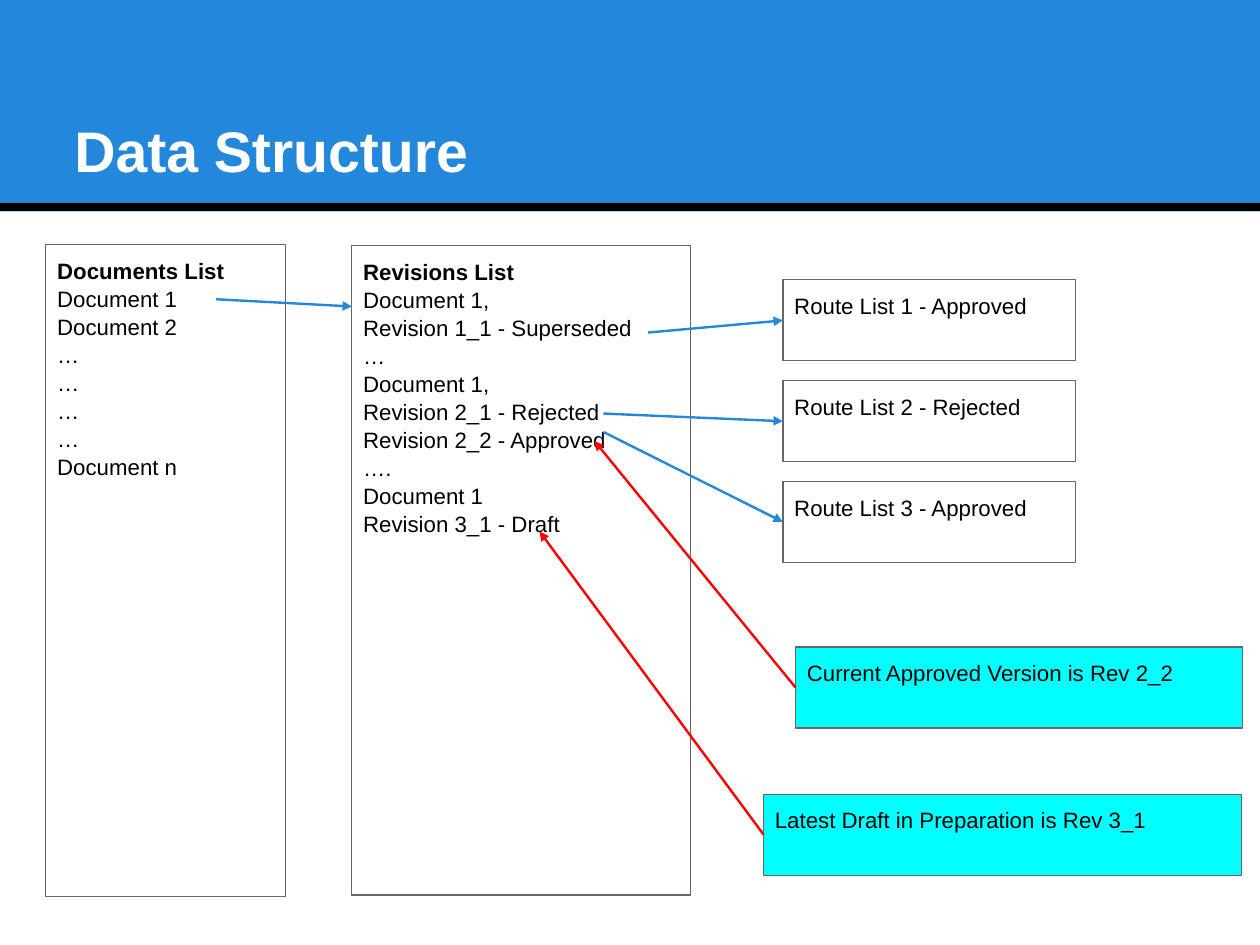
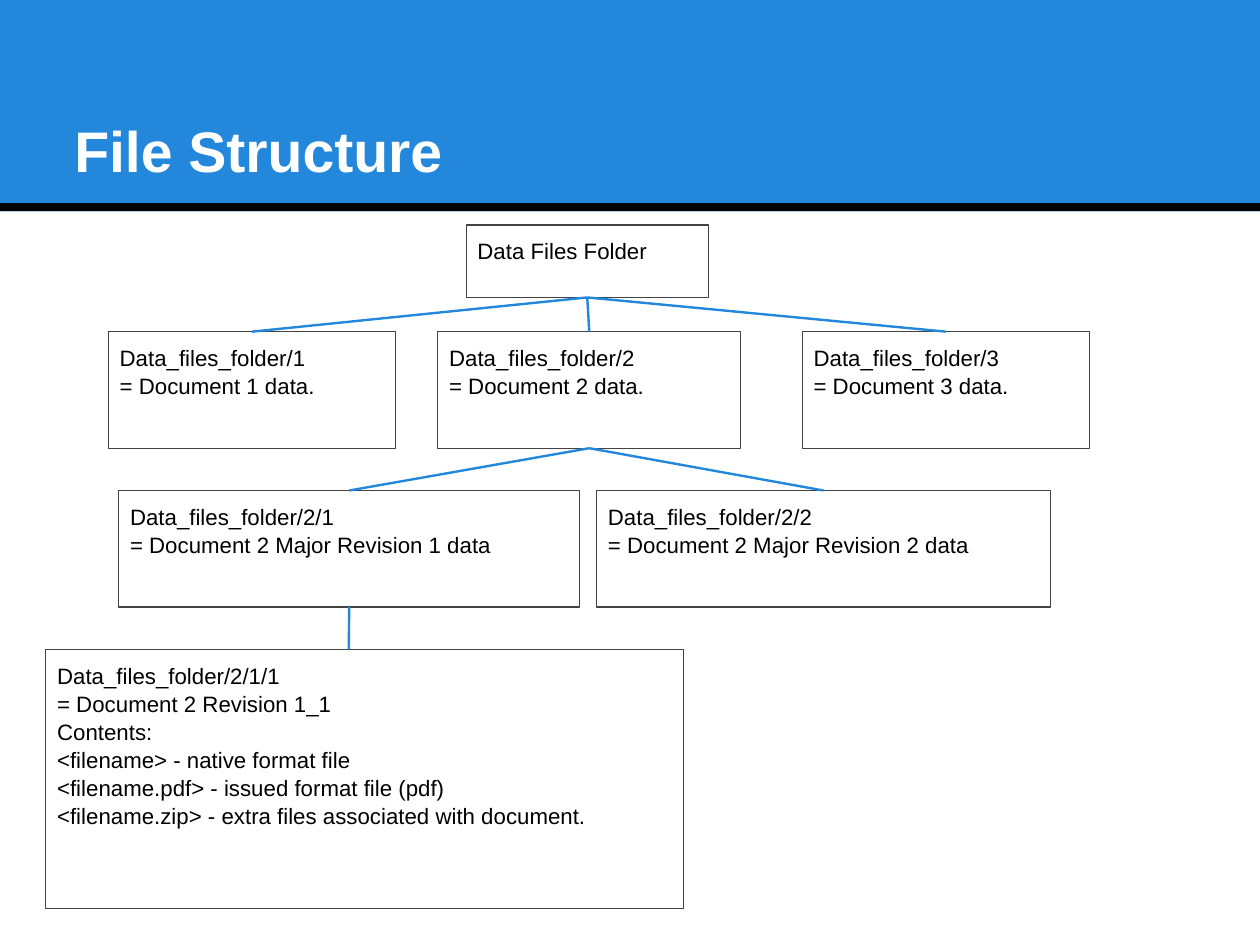
from lxml.etree import SubElement
from pptx import Presentation
from pptx.dml.color import RGBColor
from pptx.enum.shapes import MSO_CONNECTOR, MSO_SHAPE
from pptx.enum.text import MSO_ANCHOR, MSO_AUTO_SIZE, PP_ALIGN
from pptx.oxml.ns import qn
from pptx.util import Cm, Pt

COLORS = {
    "blue": "2388DB",
    "black": "000000",
    "white": "FFFFFF",
    "gray": "666666",
    "charcoal": "434343",
    "cyan": "00FFFF",
    "red": "FF0000",
}
FONT = "Arial"
WIDTH, HEIGHT = 28, 21
TOP, LEFT, BOTTOM = 0, 1, 2


def color(name):
    return RGBColor.from_string(COLORS[name])


class DeckBuilder:
    def __init__(self):
        self.deck = Presentation()
        self.deck.slide_width = Cm(WIDTH)
        self.deck.slide_height = Cm(HEIGHT)
        self.layout = self.deck.slide_layouts.get_by_name("Title Only")
        self.page = None
        self.outline = "gray"

    def style_layout(self):
        band = self.box((0, 0, WIDTH, 4.7), fill="blue", outlined=False)
        rule = self.line((0, 4.6), (WIDTH, 4.6), "black", weight=4.5)
        for index, shape in enumerate((band, rule)):
            self.layout.shapes.element.insert(2 + index, shape.element)
        title = self.layout.placeholders[0]
        title.left, title.top, title.width, title.height = map(Cm, (1.4, 0.84, 25.2, 3.5))

    def add_page(self, title, outline):
        first = self.page is None
        self.page = self.deck.slides.add_slide(self.layout)
        self.outline = outline
        if first:
            self.style_layout()
        frame = self.page.shapes.title.text_frame
        self.set_text(frame, [title], 36, "white", bold_first=True)
        frame.vertical_anchor = MSO_ANCHOR.BOTTOM

    def set_text(self, frame, lines, size, ink, bold_first=False, spacing=1.0):
        frame.word_wrap = True
        frame.auto_size = MSO_AUTO_SIZE.NONE
        frame.vertical_anchor = MSO_ANCHOR.TOP
        frame.margin_left = frame.margin_right = Cm(0.25)
        frame.margin_top = frame.margin_bottom = Cm(0.25)
        for index, text in enumerate(lines):
            para = frame.paragraphs[0] if index == 0 else frame.add_paragraph()
            para.text = text
            para.alignment = PP_ALIGN.LEFT
            para.line_spacing = spacing
            para.font.name = FONT
            para.font.size = Pt(size)
            para.font.bold = bold_first and index == 0
            para.font.color.rgb = color(ink)

    def box(self, area, lines=(), fill=None, outlined=True, bold_first=False):
        box = self.page.shapes.add_shape(MSO_SHAPE.RECTANGLE, *map(Cm, area))
        box.shadow.inherit = False
        if fill:
            box.fill.solid()
            box.fill.fore_color.rgb = color(fill)
        else:
            box.fill.background()
        if outlined:
            box.line.color.rgb = color(self.outline)
            box.line.width = Pt(0.75)
        else:
            box.line.fill.background()
        if lines:
            self.set_text(box.text_frame, lines, 14, "black", bold_first, 1.05)
        return box

    def line(self, start, end, ink="blue", weight=1.5, arrow=False):
        line = self.page.shapes.add_connector(MSO_CONNECTOR.STRAIGHT, 0, 0, 0, 0)
        if isinstance(start[0], (int, float)):
            line.begin_x, line.begin_y = map(Cm, start)
        else:
            line.begin_connect(*start)
        if isinstance(end[0], (int, float)):
            line.end_x, line.end_y = map(Cm, end)
        else:
            line.end_connect(*end)
        line.line.color.rgb = color(ink)
        line.line.width = Pt(weight)
        properties = line.element.spPr
        if arrow:
            SubElement(properties.find(qn("a:ln")), qn("a:tailEnd"), type="triangle")
        SubElement(properties, qn("a:effectLst"))
        return line


def build_data_structure(builder):
    builder.add_page("Data Structure", "gray")
    documents = ["Documents List", "Document 1", "Document 2", *["…"] * 4, "Document n"]
    revisions = [
        "Revisions List",
        "Document 1,",
        "Revision 1_1 - Superseded",
        "…",
        "Document 1,",
        "Revision 2_1 - Rejected",
        "Revision 2_2 - Approved",
        "….",
        "Document 1",
        "Revision 3_1 - Draft",
    ]
    builder.box((1.02, 5.44, 5.33, 14.48), documents, bold_first=True)
    builder.box((7.82, 5.46, 7.52, 14.43), revisions, bold_first=True)
    builder.line((4.8, 6.65), (7.82, 6.81), arrow=True)

    routes = [
        ("Approved", (14.4, 7.39)),
        ("Rejected", (13.41, 9.19)),
        ("Approved", (13.41, 9.6)),
    ]
    for index, (status, start) in enumerate(routes):
        text = f"Route List {index + 1} - {status}"
        route = builder.box((17.4, 6.22 + 2.24 * index, 6.5, 1.8), [text])
        builder.line(start, (route, LEFT), arrow=True)

    callouts = [
        ("Current Approved Version is Rev 2_2", (17.68, 14.38, 9.93, 1.8), (13.21, 9.8)),
        ("Latest Draft in Preparation is Rev 3_1", (16.97, 17.65, 10.62, 1.8), (11.99, 11.81)),
    ]
    for text, area, target in callouts:
        callout = builder.box(area, [text], fill="cyan")
        builder.line((callout, LEFT), target, "red", arrow=True)


def build_file_structure(builder):
    builder.add_page("File Structure", "charcoal")
    root = builder.box((10.36, 5, 5.38, 1.61), ["Data Files Folder"])

    folders = []
    for number, (left, width) in enumerate([(2.41, 6.38), (9.73, 6.73), (17.83, 6.38)], 1):
        lines = [f"Data_files_folder/{number}", f"= Document {number} data."]
        folders.append(builder.box((left, 7.37, width, 2.59), lines))
        builder.line((root, BOTTOM), (folders[-1], TOP))

    majors = []
    for number, (left, width) in enumerate([(2.64, 10.24), (13.26, 10.08)], 1):
        lines = [f"Data_files_folder/2/{number}", f"= Document 2 Major Revision {number} data"]
        majors.append(builder.box((left, 10.9, width, 2.59), lines))
        builder.line((folders[1], BOTTOM), (majors[-1], TOP))

    contents = [
        "Data_files_folder/2/1/1",
        "= Document 2 Revision 1_1",
        "Contents:",
        "<filename> - native format file",
        "<filename.pdf> - issued format file (pdf)",
        "<filename.zip> - extra files associated with document.",
    ]
    builder.box((1.02, 14.43, 14.17, 5.77), contents)
    builder.line((majors[0], BOTTOM), (7.75, 14.43))


builder = DeckBuilder()
build_data_structure(builder)
build_file_structure(builder)
builder.deck.save("out.pptx")
